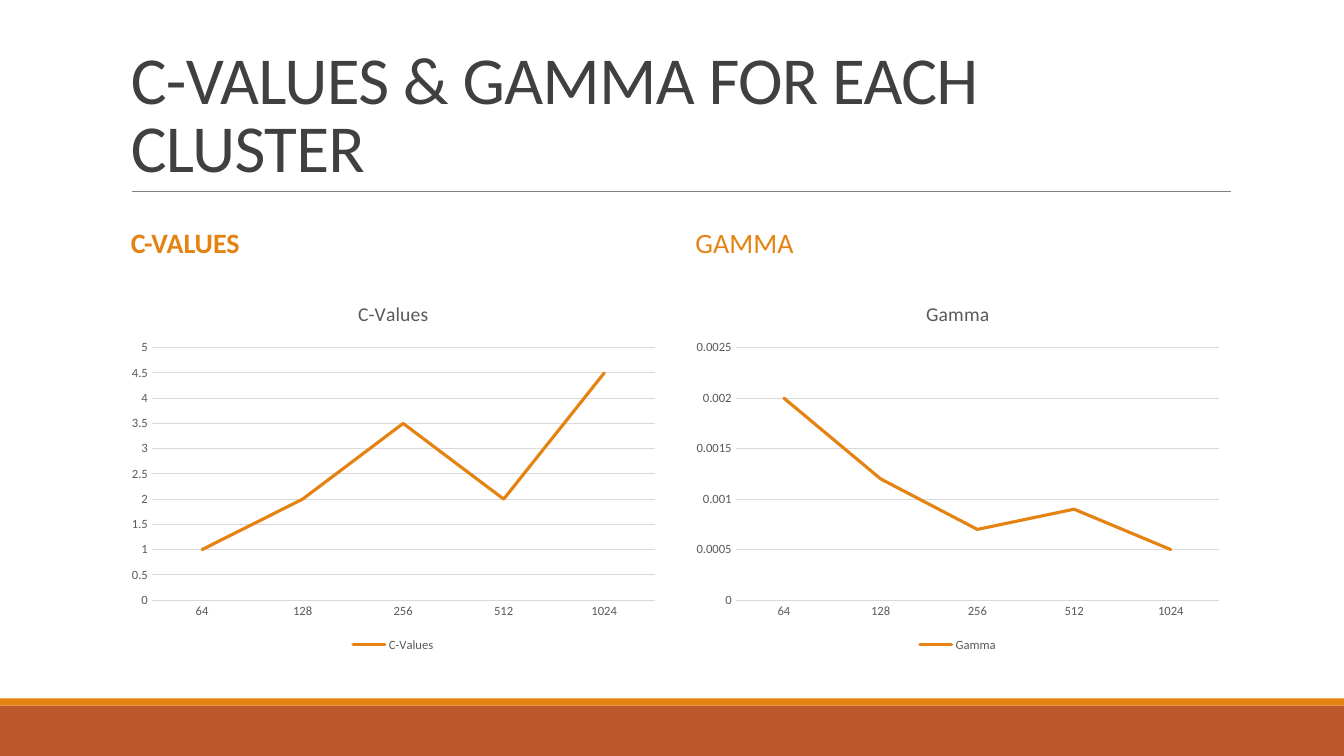
from dataclasses import dataclass

from pptx import Presentation
from pptx.chart.data import CategoryChartData
from pptx.dml.color import RGBColor
from pptx.enum.chart import XL_CHART_TYPE, XL_LEGEND_POSITION, XL_MARKER_STYLE, XL_TICK_MARK
from pptx.enum.shapes import MSO_CONNECTOR, MSO_SHAPE
from pptx.enum.text import MSO_ANCHOR
from pptx.oxml.ns import qn
from pptx.util import Inches, Pt


@dataclass(frozen=True)
class Theme:
    font: str = "Calibri"
    orange: RGBColor = RGBColor(0xE4, 0x83, 0x12)
    rust: RGBColor = RGBColor(0xBD, 0x58, 0x2C)
    title_ink: RGBColor = RGBColor(0x40, 0x40, 0x40)
    chart_ink: RGBColor = RGBColor(0x59, 0x59, 0x59)
    rule: RGBColor = RGBColor(0x80, 0x80, 0x80)
    grid: RGBColor = RGBColor(0xD9, 0xD9, 0xD9)
    title_size: Pt = Pt(48)
    heading_size: Pt = Pt(20)
    chart_title_size: Pt = Pt(14)
    label_size: Pt = Pt(9)


theme = Theme()


def set_font(font, size, color, bold=False):
    font.name = theme.font
    font.size = size
    font.bold = bold
    font.color.rgb = color


def add_text(page, text, left, top, width, height, anchor, line_spacing):
    """Add a wrapped one-paragraph text box and return its paragraph."""
    box = page.shapes.add_textbox(Inches(left), Inches(top), Inches(width), Inches(height))
    frame = box.text_frame
    frame.word_wrap = True
    frame.vertical_anchor = anchor
    frame.text = text
    para = frame.paragraphs[0]
    para.line_spacing = line_spacing
    return para


deck = Presentation()
deck.slide_width = Inches(13.33)
deck.slide_height = Inches(7.5)
page = deck.slides.add_slide(deck.slide_layouts[6])

# Footer bands
for top, height, color in [(7, 0.5, theme.rust), (6.93, 0.07, theme.orange)]:
    band = page.shapes.add_shape(
        MSO_SHAPE.RECTANGLE, 0, Inches(top), deck.slide_width, Inches(height))
    band.shadow.inherit = False
    band.fill.solid()
    band.fill.fore_color.rgb = color
    band.line.fill.background()

# Title and the rule under it
title_rule = page.shapes.add_connector(
    MSO_CONNECTOR.STRAIGHT, Inches(1.31), Inches(1.9), Inches(12.21), Inches(1.9))
title_rule.line.color.rgb = theme.rule
title_rule.line.width = Pt(0.5)
shape_properties = title_rule._element.spPr
shape_properties.append(shape_properties.makeelement(qn("a:effectLst"), {}))

title = add_text(page, "C-VALUES & GAMMA FOR EACH CLUSTER",
                 1.2, 0.31, 11, 1.59, MSO_ANCHOR.BOTTOM, 0.85)
title_span = title.runs[0]
set_font(title_span.font, theme.title_size, theme.title_ink)
title_span._r.get_or_add_rPr().set("spc", "-50")

# One column per measure: heading above a line chart
clusters = ["64", "128", "256", "512", "1024"]
columns = [
    ("C-Values", True, [1, 2, 3.5, 2, 4.5]),
    ("Gamma", False, [0.002, 0.0012, 0.0007, 0.0009, 0.0005]),
]
for index, (name, bold, values) in enumerate(columns):
    left = 1.2 + index * 5.6
    heading = add_text(page, name.upper(), left, 2.02, 5.4, 0.81, MSO_ANCHOR.MIDDLE, 0.9)
    heading.space_before = Pt(12)
    heading.space_after = Pt(2)
    set_font(heading.runs[0].font, theme.heading_size, theme.orange, bold)

    data = CategoryChartData()
    data.categories = clusters
    data.add_series(name, values)
    chart = page.shapes.add_chart(
        XL_CHART_TYPE.LINE, Inches(left), Inches(2.82), Inches(5.4), Inches(3.69), data).chart
    set_font(chart.font, theme.label_size, theme.chart_ink)

    chart.has_title = True
    chart.chart_title.include_in_layout = False
    chart.chart_title.text_frame.text = name
    chart_title_span = chart.chart_title.text_frame.paragraphs[0].runs[0]
    set_font(chart_title_span.font, theme.chart_title_size, theme.chart_ink)

    chart.has_legend = True
    chart.legend.position = XL_LEGEND_POSITION.BOTTOM
    chart.legend.include_in_layout = False
    set_font(chart.legend.font, theme.label_size, theme.chart_ink)

    for axis in (chart.category_axis, chart.value_axis):
        axis.major_tick_mark = XL_TICK_MARK.NONE
        axis.minor_tick_mark = XL_TICK_MARK.NONE
        set_font(axis.tick_labels.font, theme.label_size, theme.chart_ink)
    chart.value_axis.has_major_gridlines = True
    chart.value_axis.format.line.fill.background()
    for line in (chart.category_axis.format.line, chart.value_axis.major_gridlines.format.line):
        line.color.rgb = theme.grid
        line.width = Pt(0.75)

    plot = chart.plots[0]
    plot.vary_by_categories = False
    series = plot.series[0]
    series.smooth = False
    series.marker.style = XL_MARKER_STYLE.NONE
    series.format.line.color.rgb = theme.orange
    series.format.line.width = Pt(2.25)
    series.format.line._ln.set("cap", "rnd")

deck.save("out.pptx")
